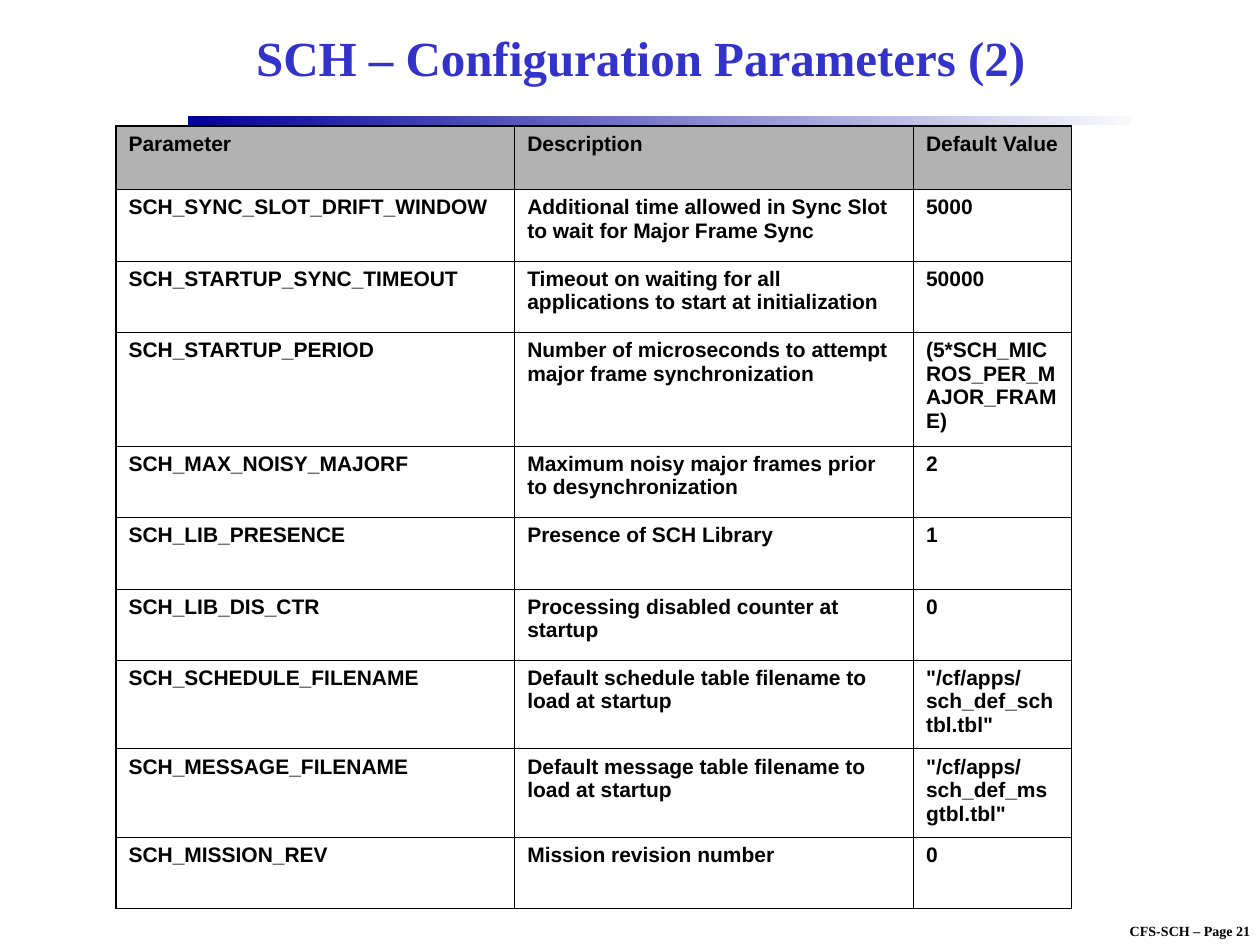
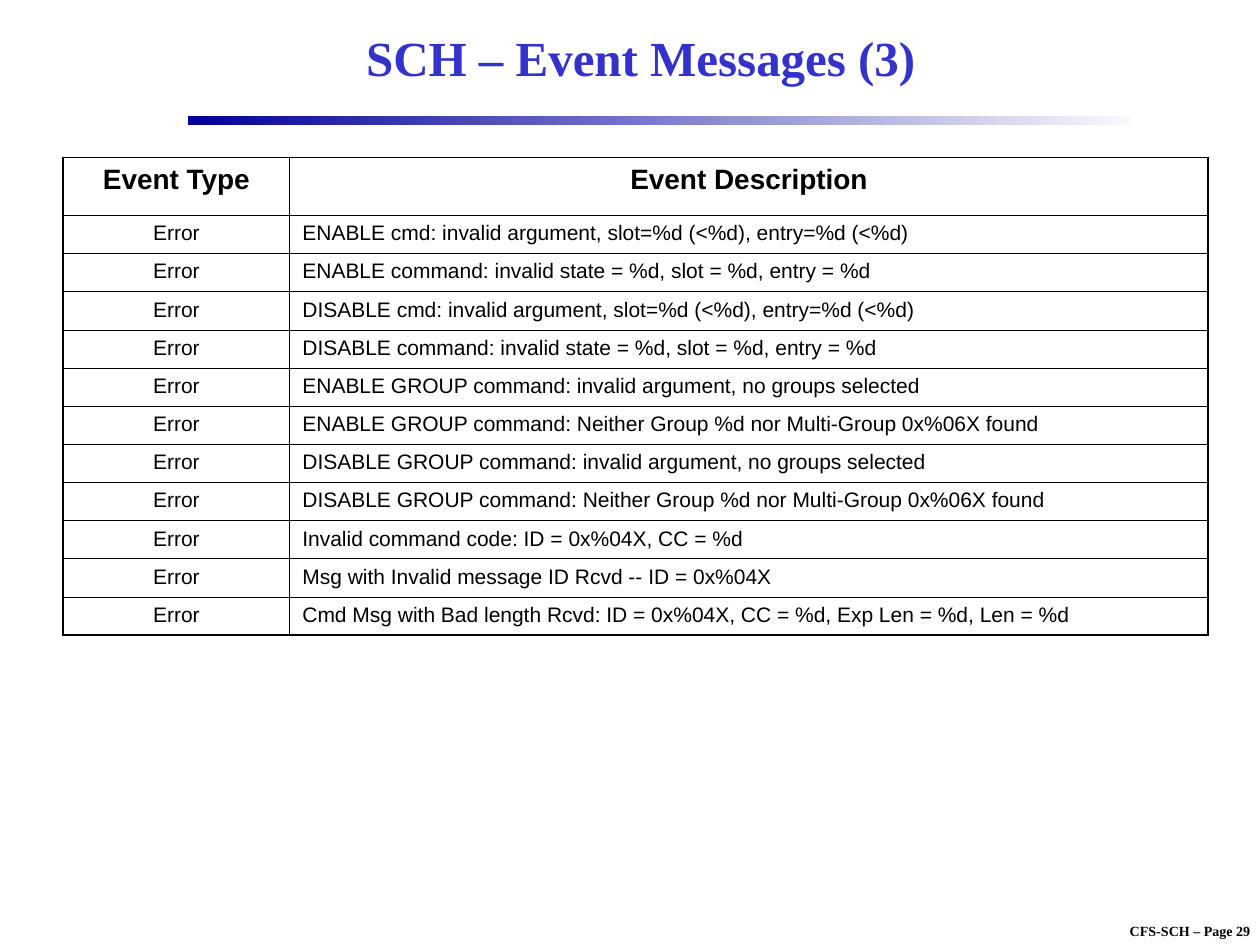
from lxml.etree import SubElement as Sub
from pptx import Presentation
from pptx.dml.color import RGBColor
from pptx.enum.shapes import MSO_SHAPE as Shape
from pptx.enum.text import MSO_ANCHOR as Anchor, PP_ALIGN as Align
from pptx.oxml.ns import qn
from pptx.util import Inches, Pt

COLS, ROWS = 100, 75
THICK, THIN = 1.08, 0.45


def shade(code):
    return RGBColor.from_string(code)


class Deck:
    serif, sans = "Times New Roman", "Arial"
    ink, blue, gray = "000000", "3333CC", "B2B2B2"
    fade = "000099", "F9F9FD"

    def __init__(self):
        self.prs = Presentation()
        self.prs.slide_width = Inches(10)
        self.prs.slide_height = Inches(7.5)
        self.slide = None

    def wide(self, cols):
        return round(self.prs.slide_width * cols / COLS)

    def high(self, rows):
        return round(self.prs.slide_height * rows / ROWS)

    def box(self, x, y, w, h):
        return self.wide(x), self.high(y), self.wide(w), self.high(h)

    def words(self, frame, text, size, face, color, bold=True, align=Align.LEFT):
        frame.text = text
        para = frame.paragraphs[0]
        para.alignment = align
        font = para.runs[0].font
        font.size, font.name, font.bold = Pt(size), face, bold
        font.color.rgb = shade(color)

    def label(self, place, text, size, color, wrap=True):
        frame = self.slide.shapes.add_textbox(*self.box(*place)).text_frame
        frame.word_wrap = wrap
        frame.vertical_anchor = Anchor.MIDDLE if wrap else Anchor.TOP
        self.words(frame, text, size, self.serif, color, align=Align.CENTER)

    def band(self):
        bar = self.slide.shapes.add_shape(Shape.RECTANGLE, *self.box(14.9, 9.2, 74.9, 0.7))
        bar.shadow.inherit = False
        bar.line.fill.background()
        bar.fill.gradient()
        bar.fill.gradient_angle = 0
        for stop, code in zip(bar.fill.gradient_stops, self.fade):
            stop.color.rgb = shade(code)

    def page(self, title, number):
        self.slide = self.prs.slides.add_slide(self.prs.slide_layouts[6])
        self.label((86.7, 72.7, 15.5, 2.3), f"CFS-SCH – Page {number}", 8, self.ink, wrap=False)
        self.band()
        self.label((15, 0.8, 71.7, 7.5), title, 28, self.blue)

    def edge(self, cell, side, width):
        line = Sub(cell._tc.get_or_add_tcPr(), qn(f"a:ln{side}"), w=str(Pt(width)))
        Sub(Sub(line, qn("a:solidFill")), qn("a:srgbClr"), val=self.ink)

    def table(self, x, y, widths, heights, data, head=12, fill=None, bold=True,
              aligns=(), tops=(), base=THICK):
        place = self.box(x, y, sum(widths), sum(heights))
        grid = self.slide.shapes.add_table(len(data), len(widths), *place).table
        grid.first_row = grid.horz_banding = False
        for col, width in zip(grid.columns, widths):
            col.width = self.wide(width)
        for row, height in zip(grid.rows, heights):
            row.height = self.high(height)
        last, end = len(data) - 1, len(widths) - 1
        for r, line in enumerate(data):
            for c, text in enumerate(line):
                cell = grid.cell(r, c)
                self.edge(cell, "L", THIN if c else THICK)
                self.edge(cell, "R", THICK if c == end else THIN)
                self.edge(cell, "T", THIN if r else THICK)
                self.edge(cell, "B", base if r == last else THIN)
                if fill and r == 0:
                    cell.fill.solid()
                    cell.fill.fore_color.rgb = shade(fill)
                else:
                    cell.fill.background()
                self.words(cell.text_frame, text, 12 if r else head, self.sans, self.ink,
                           bold or r == 0, (aligns if r else tops)[c])


PARAMS = [
    ("Parameter", "Description", "Default Value"),
    ("SCH_SYNC_SLOT_DRIFT_WINDOW",
     "Additional time allowed in Sync Slot to wait for Major Frame Sync", "5000"),
    ("SCH_STARTUP_SYNC_TIMEOUT",
     "Timeout on waiting for all applications to start at initialization", "50000"),
    ("SCH_STARTUP_PERIOD",
     "Number of microseconds to attempt major frame synchronization",
     "(5*SCH_MICROS_PER_MAJOR_FRAME)"),
    ("SCH_MAX_NOISY_MAJORF", "Maximum noisy major frames prior to desynchronization", "2"),
    ("SCH_LIB_PRESENCE", "Presence of SCH Library", "1"),
    ("SCH_LIB_DIS_CTR", "Processing disabled counter at startup", "0"),
    ("SCH_SCHEDULE_FILENAME", "Default schedule table filename to load at startup",
     '"/cf/apps/sch_def_schtbl.tbl"'),
    ("SCH_MESSAGE_FILENAME", "Default message table filename to load at startup",
     '"/cf/apps/sch_def_msgtbl.tbl"'),
    ("SCH_MISSION_REV", "Mission revision number", "0"),
]

ERRORS = [
    "ENABLE cmd: invalid argument, slot=%d (<%d), entry=%d (<%d)",
    "ENABLE command: invalid state = %d, slot = %d, entry = %d",
    "DISABLE cmd: invalid argument, slot=%d (<%d), entry=%d (<%d)",
    "DISABLE command: invalid state = %d, slot = %d, entry = %d",
    "ENABLE GROUP command: invalid argument, no groups selected",
    "ENABLE GROUP command: Neither Group %d nor Multi-Group 0x%06X found",
    "DISABLE GROUP command: invalid argument, no groups selected",
    "DISABLE GROUP command: Neither Group %d nor Multi-Group 0x%06X found",
    "Invalid command code: ID = 0x%04X, CC = %d",
    "Msg with Invalid message ID Rcvd -- ID = 0x%04X",
    "Cmd Msg with Bad length Rcvd: ID = 0x%04X, CC = %d, Exp Len = %d, Len = %d",
]


def main():
    deck = Deck()

    deck.page("SCH – Configuration Parameters (2)", 21)
    left = [Align.LEFT] * 3
    tall = [5.04, 5.67, 5.67, 9.02, 5.67, 5.67, 5.65, 7.04, 7.04, 5.6]
    deck.table(9.2, 10, [31.65, 31.65, 12.55], tall, PARAMS, fill=deck.gray,
               aligns=left, tops=left, base=THIN)

    deck.page("SCH – Event Messages (3)", 29)
    events = [("Event Type", "Event Description")]
    events += [("Error", text) for text in ERRORS]
    deck.table(5, 12.5, [18, 72.9], [4.6] + [3.03] * len(ERRORS), events, head=16,
               bold=False, aligns=[Align.CENTER, Align.LEFT], tops=[Align.CENTER] * 2)

    deck.prs.save("out.pptx")


if __name__ == "__main__":
    main()
